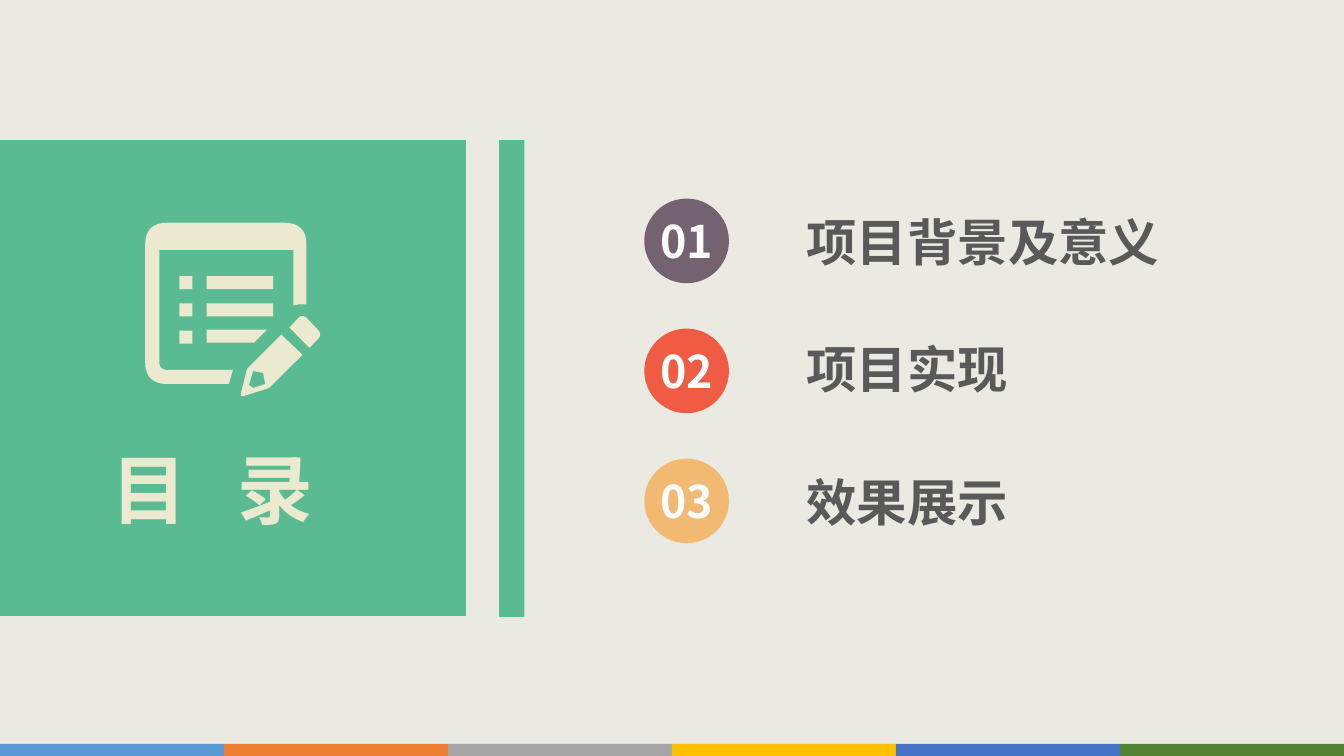
import lxml.etree
import pptx
import pptx.dml.color
import pptx.enum.shapes
import pptx.enum.text
import pptx.oxml.ns
import pptx.util

Inches = pptx.util.Inches
RGBColor = pptx.dml.color.RGBColor
Shapes = pptx.enum.shapes.MSO_SHAPE
Align = pptx.enum.text.PP_ALIGN

FONT = "Noto Sans CJK SC"
BACKGROUND = RGBColor(0xEB, 0xEA, 0xE2)
GREEN = RGBColor(0x5A, 0xBB, 0x93)
CREAM = RGBColor(0xEB, 0xE9, 0xD0)
GREY = RGBColor(0x59, 0x59, 0x59)
WHITE = RGBColor(0xFF, 0xFF, 0xFF)
PURPLE = RGBColor(0x75, 0x62, 0x71)
RED = RGBColor(0xEF, 0x5B, 0x43)
SAND = RGBColor(0xF2, 0xB9, 0x73)
STRIPE_COLOURS = [
    RGBColor(0x5B, 0x9B, 0xD5),
    RGBColor(0xED, 0x7D, 0x31),
    RGBColor(0xA5, 0xA5, 0xA5),
    RGBColor(0xFF, 0xC0, 0x00),
    RGBColor(0x44, 0x72, 0xC4),
    RGBColor(0x54, 0x82, 0x35),
]
CHAPTERS = [
    ("01", "项目背景及意义", PURPLE, 2.04),
    ("02", "项目实现", RED, 3.3),
    ("03", "效果展示", SAND, 4.62),
]

SHEET = [
    (2.31, 3.67), (2.27, 3.81), (1.44, 3.81, 0.22), (1.44, 2.21, 0.22),
    (3.04, 2.21, 0.22), (3.04, 3.02), (2.97, 3.02), (2.91, 3.03),
    (2.91, 2.48), (1.58, 2.48), (1.58, 3.67, 0.08),
]
PENCIL = [
    (2.79, 3.32), (3, 3.52), (2.67, 3.85, 0.03), (2.38, 3.94, 0.04),
    (2.45, 3.66, 0.02),
]
PENCIL_TIP = [
    (2.51, 3.68), (2.47, 3.82), (2.51, 3.85), (2.63, 3.81), (2.61, 3.7),
]
PENCIL_CAP = [(2.87, 3.25), (3, 3.11, 0.07), (3.2, 3.32, 0.07), (3.07, 3.45)]
SHORT_LINE = [(2.05, 3.27), (2.65, 3.27), (2.52, 3.4), (2.05, 3.4)]


def paint(shape, colour):
    shape.shadow.inherit = False
    shape.fill.solid()
    shape.fill.fore_color.rgb = colour
    shape.line.fill.background()


def add_block(page, kind, left, top, width, height, colour):
    block = page.shapes.add_shape(
        kind, Inches(left), Inches(top), Inches(width), Inches(height))
    paint(block, colour)
    return block


def toward(start, end, distance):
    dx, dy = end[0] - start[0], end[1] - start[1]
    share = distance / (dx * dx + dy * dy) ** 0.5
    return start[0] + dx * share, start[1] + dy * share


def round_corners(corners, steps=8):
    points = []
    for index, corner in enumerate(corners):
        if len(corner) == 2:
            points.append(corner)
            continue
        x, y, radius = corner
        first = toward(corner, corners[index - 1], radius)
        last = toward(corner, corners[(index + 1) % len(corners)], radius)
        for step in range(steps + 1):
            t = step / steps
            a, b, c = (1 - t) ** 2, 2 * t * (1 - t), t * t
            points.append((a * first[0] + b * x + c * last[0],
                           a * first[1] + b * y + c * last[1]))
    return [(Inches(x), Inches(y)) for x, y in points]


def add_outline(page, colour, corners, *holes):
    points = round_corners(corners)
    builder = page.shapes.build_freeform(*points[0], scale=1.0)
    builder.add_line_segments(points[1:], close=True)
    for hole in holes:
        points = round_corners(hole)
        builder.move_to(*points[0])
        builder.add_line_segments(points[1:], close=True)
    paint(builder.convert_to_shape(), colour)


def write(frame, text, size, colour, align=Align.LEFT, spacing=0):
    para = frame.paragraphs[0]
    para.alignment = align
    span = para.add_run()
    span.text = text
    span.font.size = pptx.util.Pt(size)
    span.font.bold = True
    span.font.name = FONT
    span.font.color.rgb = colour
    properties = span.font._element
    lxml.etree.SubElement(
        properties, pptx.oxml.ns.qn("a:ea"), typeface=FONT)
    if spacing:
        properties.set("spc", str(spacing * 100))


def add_label(page, text, left, top, width, height, size, colour, **options):
    box = page.shapes.add_textbox(
        Inches(left), Inches(top), Inches(width), Inches(height))
    box.text_frame.word_wrap = False
    write(box.text_frame, text, size, colour, **options)


def add_badge(page, number, left, top, colour):
    badge = add_block(page, Shapes.OVAL, left, top, 0.84, 0.84, colour)
    frame = badge.text_frame
    frame.margin_left = frame.margin_right = 0
    frame.margin_top = frame.margin_bottom = 0
    frame.word_wrap = False
    frame.vertical_anchor = pptx.enum.text.MSO_ANCHOR.MIDDLE
    write(frame, number, 32, WHITE, align=Align.CENTER)


def add_notepad_icon(page):
    add_outline(page, CREAM, SHEET)
    add_outline(page, CREAM, PENCIL, PENCIL_TIP)
    add_outline(page, CREAM, PENCIL_CAP)
    add_outline(page, CREAM, SHORT_LINE)
    for top in (2.74, 3.01):
        add_block(page, Shapes.RECTANGLE, 2.05, top, 0.66, 0.13, CREAM)
    for top in (2.74, 3.01, 3.28):
        add_block(page, Shapes.RECTANGLE, 1.78, top, 0.13, 0.13, CREAM)


def main():
    deck = pptx.Presentation()
    deck.slide_width = Inches(13.33)
    deck.slide_height = Inches(7.5)
    page = deck.slides.add_slide(deck.slide_layouts[6])
    page.background.fill.solid()
    page.background.fill.fore_color.rgb = BACKGROUND

    stripe = 13.33 / len(STRIPE_COLOURS)
    for index, colour in enumerate(STRIPE_COLOURS):
        add_block(page, Shapes.RECTANGLE,
                  index * stripe, 7.38, stripe, 0.12, colour)

    add_block(page, Shapes.RECTANGLE, 0, 1.39, 4.62, 4.72, GREEN)
    add_block(page, Shapes.RECTANGLE, 4.95, 1.39, 0.25, 4.73, GREEN)
    add_notepad_icon(page)
    add_label(page, "目 录", 1.01, 4.34, 2.4, 1.01, 54, CREAM, spacing=12)

    for index, (number, title, colour, top) in enumerate(CHAPTERS):
        width = 0.2 + 0.5 * len(title)
        add_label(page, title, 7.9, top, width, 0.71, 36, GREY)
        add_badge(page, number, 6.39, 1.97 + index * 1.29, colour)

    deck.save("out.pptx")


if __name__ == "__main__":
    main()
